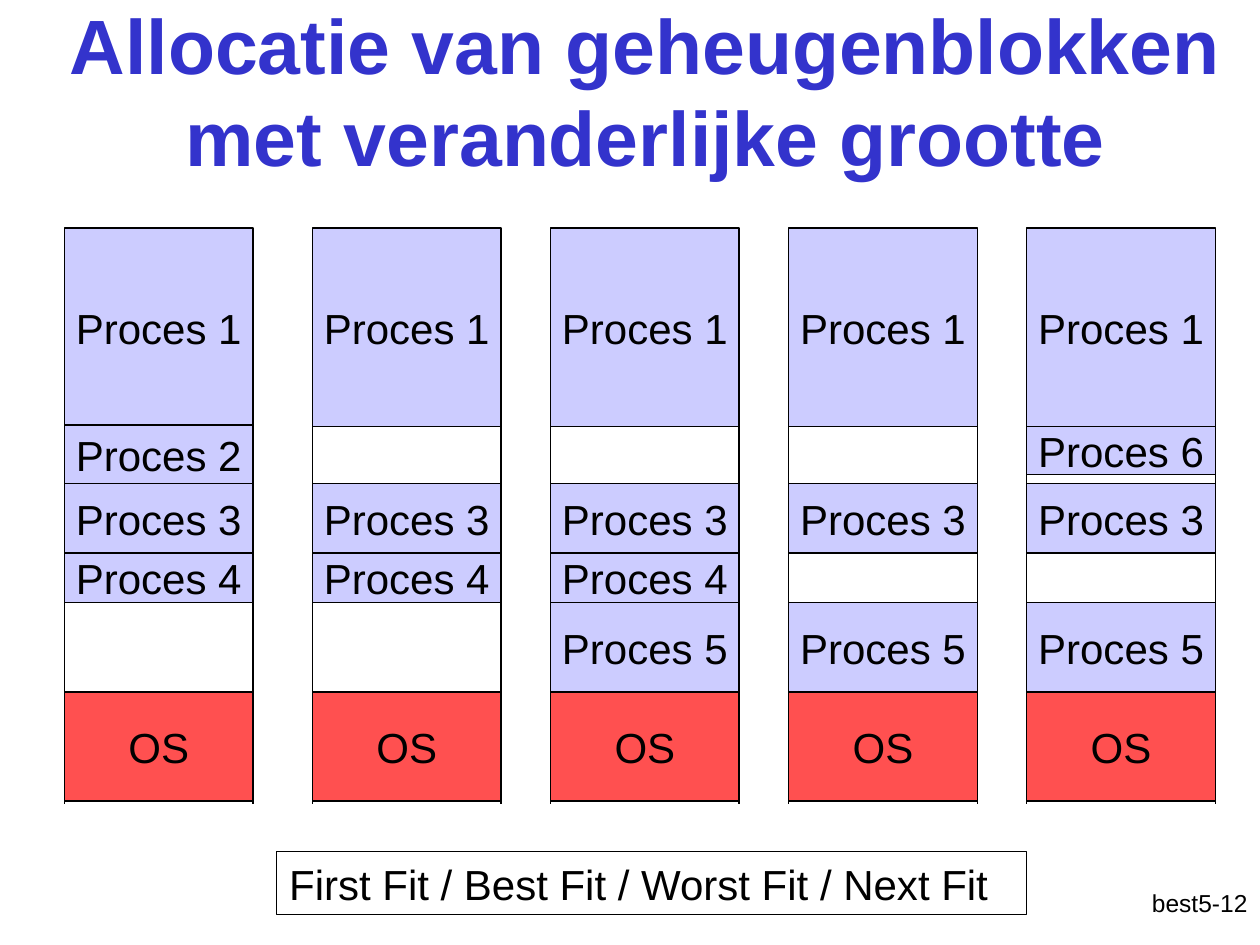
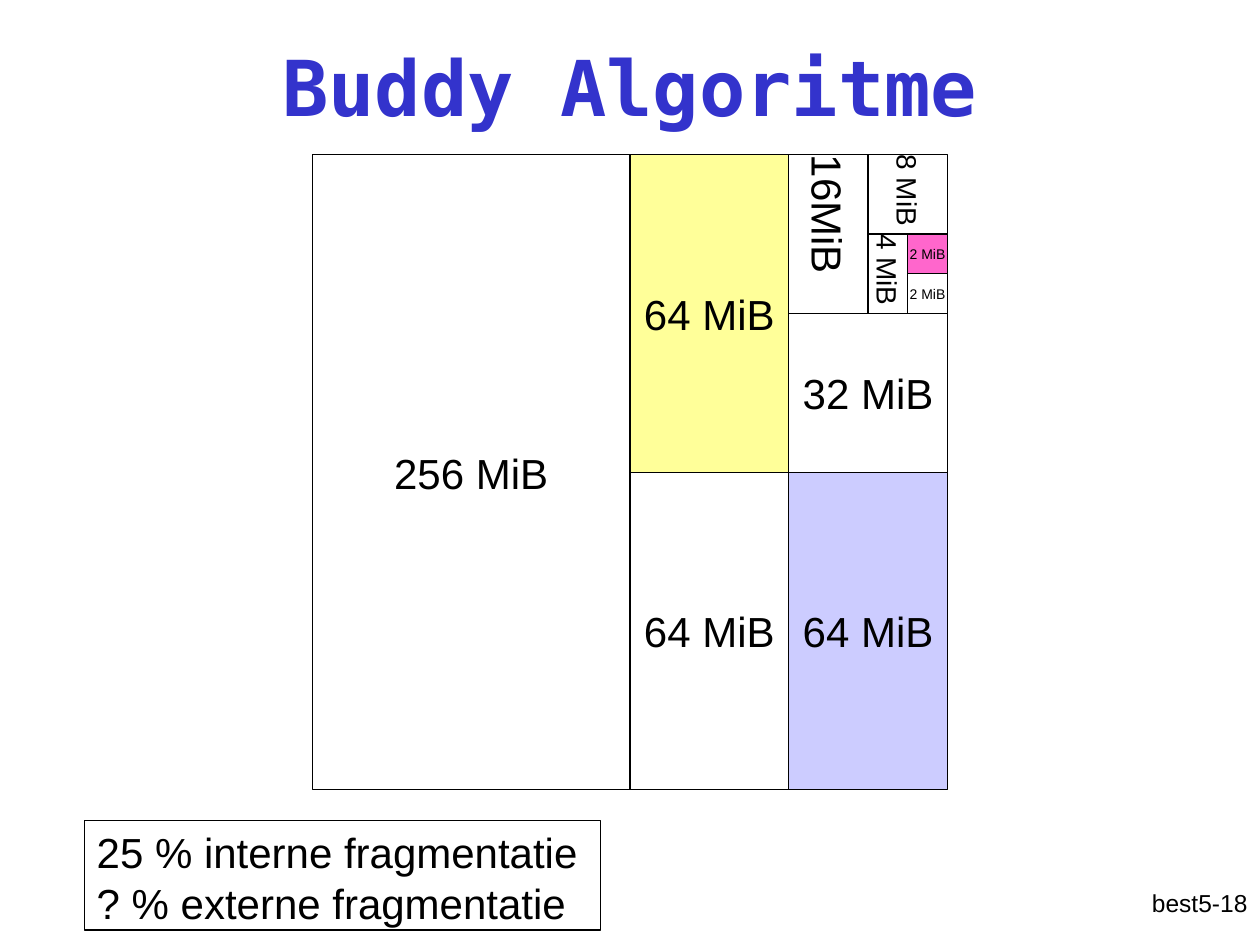
"""Build two slides on memory allocation: variable blocks and the buddy algorithm."""
from dataclasses import dataclass

from lxml import etree
from pptx import Presentation
from pptx import util as u
from pptx.dml.color import RGBColor
from pptx.enum import shapes, text
from pptx.oxml import ns

BLACK = RGBColor(0x00, 0x00, 0x00)
TITLE_BLUE = RGBColor(0x33, 0x33, 0xCC)
LAVENDER = RGBColor(0xCC, 0xCC, 0xFF)
RED = RGBColor(0xFF, 0x50, 0x50)
YELLOW = RGBColor(0xFF, 0xFF, 0x99)
PINK = RGBColor(0xFF, 0x66, 0xCC)

BODY_FONT = "Arial"
MONO_FONT = "DejaVu Sans Mono"
LONG_INSET, SHORT_INSET, NO_INSET = u.Cm(0.25), u.Cm(0.13), u.Cm(0)
TITLE_ONLY = 5


@dataclass(frozen=True)
class Box:
    """A labelled rectangle, measured in centimetres."""
    label: str
    left: float
    top: float
    width: float
    height: float
    fill: RGBColor | None = None
    size: int = 24
    vertical: bool = False


@dataclass(frozen=True)
class Segment:
    """A memory region at a fixed height in every memory column."""
    top: float
    bottom: float
    fill: RGBColor = LAVENDER


@dataclass(frozen=True)
class Buddy:
    """A buddy block, measured in grid cells."""
    label: str
    column: int
    row: int
    columns: int
    rows: int
    fill: RGBColor | None = None
    size: int = 24
    vertical: bool = False


SEGMENTS = {
    "Proces 1": Segment(4.6, 8.6),
    "Proces 2": Segment(8.57, 9.75),
    "Proces 6": Segment(8.6, 9.57),
    "Proces 3": Segment(9.75, 11.15),
    "Proces 4": Segment(11.15, 12.15),
    "Proces 5": Segment(12.15, 13.95),
    "OS": Segment(13.95, 16.15, RED),
}
MEMORY_STATES = {
    1.3: ("Proces 1", "Proces 2", "Proces 3", "Proces 4", "OS"),
    6.3: ("Proces 1", "Proces 3", "Proces 4", "OS"),
    11.1: ("Proces 1", "Proces 3", "Proces 4", "Proces 5", "OS"),
    15.9: ("Proces 1", "Proces 3", "Proces 5", "OS"),
    20.7: ("Proces 1", "Proces 6", "Proces 3", "Proces 5", "OS"),
}
MEMORY_WIDTH, MEMORY_TOP, MEMORY_BOTTOM = 3.8, 4.6, 16.2

GRID_LEFT, GRID_TOP, GRID_CELL = 6.3, 3.12, 0.8
BUDDIES = (
    Buddy("256 MiB", 0, 0, 8, 16),
    Buddy("64 MiB", 8, 8, 4, 8),
    Buddy("64 MiB", 12, 8, 4, 8, LAVENDER),
    Buddy("64 MiB", 8, 0, 4, 8, YELLOW),
    Buddy("32 MiB", 12, 4, 4, 4),
    Buddy("16MiB", 12, 0, 2, 4, vertical=True),
    Buddy("8 MiB", 14, 0, 2, 2, size=16, vertical=True),
    Buddy("4 MiB", 14, 2, 1, 2, size=16, vertical=True),
    Buddy("2 MiB", 15, 2, 1, 1, PINK, size=8),
    Buddy("2 MiB", 15, 3, 1, 1, size=8),
)
DIVIDERS = ((12.7, 3.12, 12.7, 15.92), (14.1, 15.92, 10.1, 15.92), (15.9, 9.52, 15.9, 15.92))


def style_paragraph(paragraph, size: int, color: RGBColor = BLACK, name: str = BODY_FONT,
                    bold: bool = False, align=text.PP_ALIGN.LEFT) -> None:
    """Set the font and alignment of a paragraph."""
    paragraph.alignment = align
    font = paragraph.font
    font.size, font.name, font.bold = u.Pt(size), name, bold
    font.color.rgb = color


def set_insets(frame, horizontal: int = LONG_INSET, vertical: int = SHORT_INSET) -> None:
    """Set the inner margins of a text frame."""
    frame.margin_left = frame.margin_right = horizontal
    frame.margin_top = frame.margin_bottom = vertical


def add_titled_slide(presentation, title_text: str, bounds: tuple[float, ...],
                     page: str, font_name: str = BODY_FONT):
    """Add a slide with a formatted title and a page label."""
    slide = presentation.slides.add_slide(presentation.slide_layouts[TITLE_ONLY])
    title = slide.shapes.title
    title.left, title.top, title.width, title.height = map(u.Cm, bounds)
    frame = title.text_frame
    frame.text = title_text
    frame.auto_size = text.MSO_AUTO_SIZE.NONE
    frame.vertical_anchor = text.MSO_ANCHOR.MIDDLE
    style_paragraph(frame.paragraphs[0], 44, TITLE_BLUE, font_name, True, text.PP_ALIGN.CENTER)

    label = slide.shapes.add_textbox(u.Cm(20.12), u.Cm(17.78), u.Cm(5.28), u.Cm(1.27))
    label.text_frame.word_wrap = True
    label.text_frame.text = page
    set_insets(label.text_frame)
    style_paragraph(label.text_frame.paragraphs[0], 14, align=text.PP_ALIGN.RIGHT)
    return slide


def add_rectangle(slide, box: Box):
    """Draw an outlined rectangle holding the label of the box."""
    shape = slide.shapes.add_shape(
        shapes.MSO_SHAPE.RECTANGLE,
        *map(u.Cm, (box.left, box.top, box.width, box.height)))
    shape.shadow.inherit = False
    if box.fill is None:
        shape.fill.background()
    else:
        shape.fill.solid()
        shape.fill.fore_color.rgb = box.fill
    shape.line.color.rgb = BLACK
    shape.line.width = u.Pt(0.75)
    shape.text_frame.text = box.label
    set_insets(shape.text_frame)
    return shape


def add_block(slide, box: Box) -> None:
    """Draw a memory block with a centred label, turned if it is vertical."""
    shape = add_rectangle(slide, box)
    frame = shape.text_frame
    frame.word_wrap = box.vertical
    frame.vertical_anchor = text.MSO_ANCHOR.MIDDLE
    if box.vertical:
        set_insets(frame, NO_INSET, NO_INSET)
        shape.element.txBody.bodyPr.set("vert", "eaVert")
    style_paragraph(frame.paragraphs[0], box.size, align=text.PP_ALIGN.CENTER)


def add_note(slide, box: Box):
    """Draw a framed note and return its paragraphs."""
    frame = add_rectangle(slide, box).text_frame
    frame.word_wrap = True
    frame.auto_size = text.MSO_AUTO_SIZE.SHAPE_TO_FIT_TEXT
    frame.vertical_anchor = text.MSO_ANCHOR.TOP
    for paragraph in frame.paragraphs:
        style_paragraph(paragraph, box.size)
    return frame.paragraphs


def add_line(slide, *ends: float) -> None:
    """Draw a thin black line between two points."""
    connector = slide.shapes.add_connector(shapes.MSO_CONNECTOR.STRAIGHT, *map(u.Cm, ends))
    connector.line.color.rgb = BLACK
    connector.line.width = u.Pt(0.75)
    etree.SubElement(connector.element.spPr, ns.qn("a:effectLst"))


def build_allocation_slide(presentation) -> None:
    """Show five successive states of memory with variable blocks."""
    slide = add_titled_slide(
        presentation, "Allocatie van geheugenblokken met veranderlijke grootte",
        (0.64, 0.64, 24.76, 2.34), "best5-12")
    for left, labels in MEMORY_STATES.items():
        for label in labels:
            segment = SEGMENTS[label]
            add_block(slide, Box(label, left, segment.top, MEMORY_WIDTH,
                                 segment.bottom - segment.top, segment.fill))
        for x in (left, left + MEMORY_WIDTH):
            add_line(slide, x, MEMORY_TOP, x, MEMORY_BOTTOM)
    add_note(slide, Box("First Fit / Best Fit / Worst Fit / Next Fit", 5.58, 17.17, 15.12, 1.27))


def build_buddy_slide(presentation) -> None:
    """Show a memory area divided by the buddy algorithm."""
    slide = add_titled_slide(presentation, "Buddy Algoritme", (1.9, 0.13, 21.6, 3.18),
                             "best5-18", MONO_FONT)
    for ends in DIVIDERS:
        add_line(slide, *ends)
    for buddy in BUDDIES:
        add_block(slide, Box(
            buddy.label, GRID_LEFT + buddy.column * GRID_CELL, GRID_TOP + buddy.row * GRID_CELL,
            buddy.columns * GRID_CELL, buddy.rows * GRID_CELL,
            buddy.fill, buddy.size, buddy.vertical))
    paragraphs = add_note(slide, Box("25 % interne fragmentatie\n? % externe fragmentatie",
                                     1.7, 16.54, 10.41, 2.21))
    for paragraph in paragraphs:
        paragraph.space_before = u.Pt(15)
    paragraphs[-1].line_spacing = 0.4


def main() -> None:
    """Create and save the presentation."""
    presentation = Presentation()
    presentation.slide_width, presentation.slide_height = u.Cm(25.4), u.Cm(19.05)
    build_allocation_slide(presentation)
    build_buddy_slide(presentation)
    presentation.save("out.pptx")


if __name__ == "__main__":
    main()
